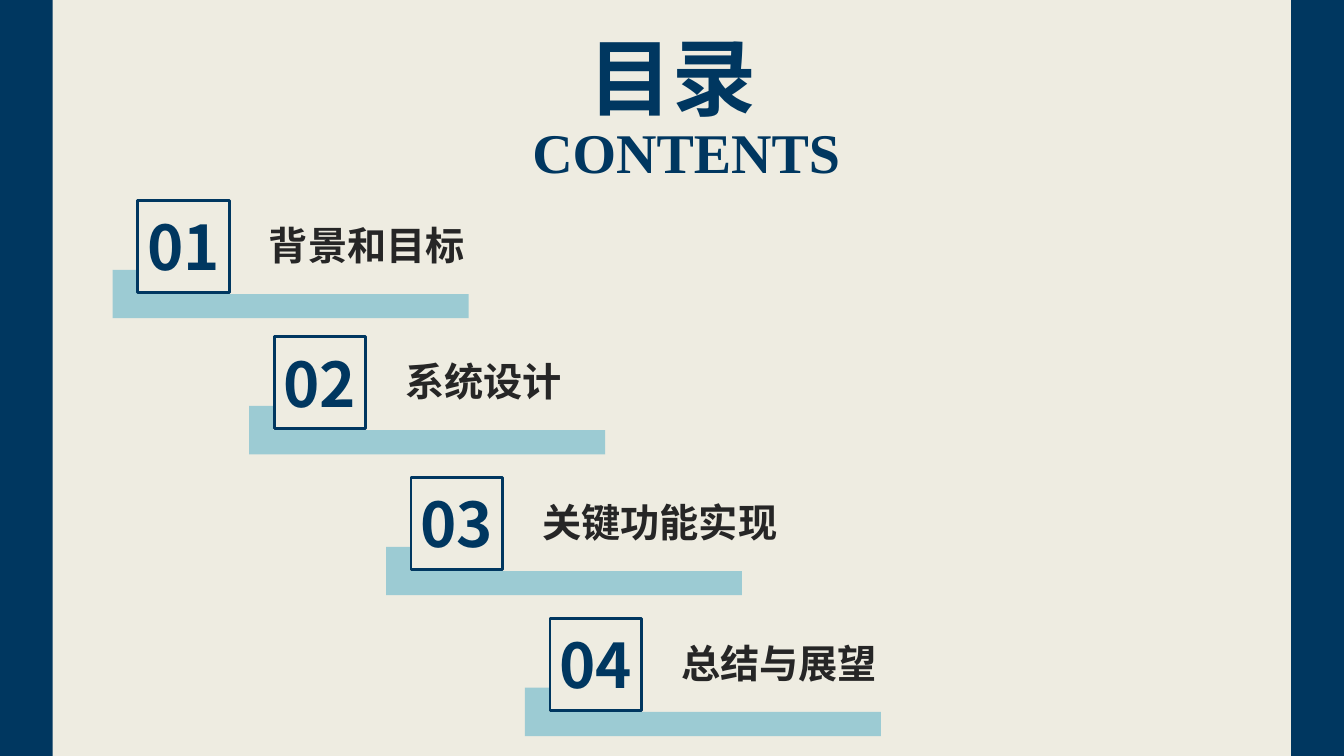
from lxml import etree
from pptx import Presentation
from pptx.dml.color import RGBColor
from pptx.enum import shapes, text
from pptx.oxml.ns import qn
from pptx.util import Cm, Pt

NAVY, TEAL, CREAM, INK = "003760", "4BACC6", "EEECE1", "262626"
SANS, SERIF = "Noto Sans CJK SC", "Times New Roman"


def rgb(value):
    return RGBColor.from_string(value)


def add_text(sp, words, size, color, align, font=SANS):
    tf = sp.text_frame
    tf.word_wrap = True
    tf.auto_size = text.MSO_AUTO_SIZE.SHAPE_TO_FIT_TEXT
    tf.vertical_anchor = text.MSO_ANCHOR.TOP
    p = tf.paragraphs[0]
    p.alignment = align
    r = p.add_run()
    r.text = words
    r.font.size = Pt(size)
    r.font.bold = True
    r.font.name = font
    r.font.color.rgb = rgb(color)
    etree.SubElement(r.font._element, qn("a:ea"), typeface=font)


prs = Presentation()
prs.slide_width, prs.slide_height = Cm(33.87), Cm(19.05)
s = prs.slides.add_slide(prs.slide_layouts[5])
s.background.fill.solid()
s.background.fill.fore_color.rgb = rgb(CREAM)

for x in (0, 32.54):
    sp = s.shapes.add_shape(shapes.MSO_SHAPE.RECTANGLE, Cm(x), Cm(-0.05), Cm(1.33), Cm(19.1))
    sp.shadow.inherit = False
    sp.fill.solid()
    sp.fill.fore_color.rgb = rgb(NAVY)
    sp.line.fill.background()

title = s.shapes.title
title.left, title.top, title.width, title.height = Cm(13.72), Cm(0.51), Cm(6.45), Cm(2.82)
add_text(title, "目录", 60, NAVY, text.PP_ALIGN.CENTER)

subtitle = s.shapes.add_textbox(Cm(12.45), Cm(2.84), Cm(8.97), Cm(1.96))
add_text(subtitle, "CONTENTS", 40, NAVY, text.PP_ALIGN.RIGHT, SERIF)

chapters = [
    ("背景和目标", 3.47, 5.06, 6.65),
    ("系统设计", 6.91, 8.49, 6.65),
    ("关键功能实现", 10.36, 12.04, 9.93),
    ("总结与展望", 13.86, 15.59, 6.65),
]
for number, (name, x, y, width) in enumerate(chapters, 1):
    bar = s.shapes.add_shape(shapes.MSO_SHAPE.CORNER, Cm(x - 0.63), Cm(y + 1.74), Cm(8.97), Cm(1.22))
    bar.shadow.inherit = False
    bar.fill.solid()
    bar.fill.fore_color.rgb = rgb(TEAL)
    tint = bar._element.spPr.find(qn("a:solidFill"))[0]
    etree.SubElement(tint, qn("a:alpha"), val="50000")
    bar.line.fill.background()

    group = s.shapes.add_group_shape()
    label = group.shapes.add_textbox(Cm(x + 3.06), Cm(y + 0.4), Cm(width), Cm(1.45))
    add_text(label, name, 28, INK, text.PP_ALIGN.LEFT)
    digits = group.shapes.add_textbox(Cm(x - 0.09), Cm(y + 0.09), Cm(2.49), Cm(2.13))
    add_text(digits, f"{number:02d}", 44, NAVY, text.PP_ALIGN.CENTER)
    box = group.shapes.add_shape(shapes.MSO_SHAPE.RECTANGLE, Cm(x), Cm(y), Cm(2.31), Cm(2.31))
    box.shadow.inherit = False
    box.fill.background()
    box.line.color.rgb = rgb(NAVY)
    box.line.width = Pt(2)

prs.save("out.pptx")
